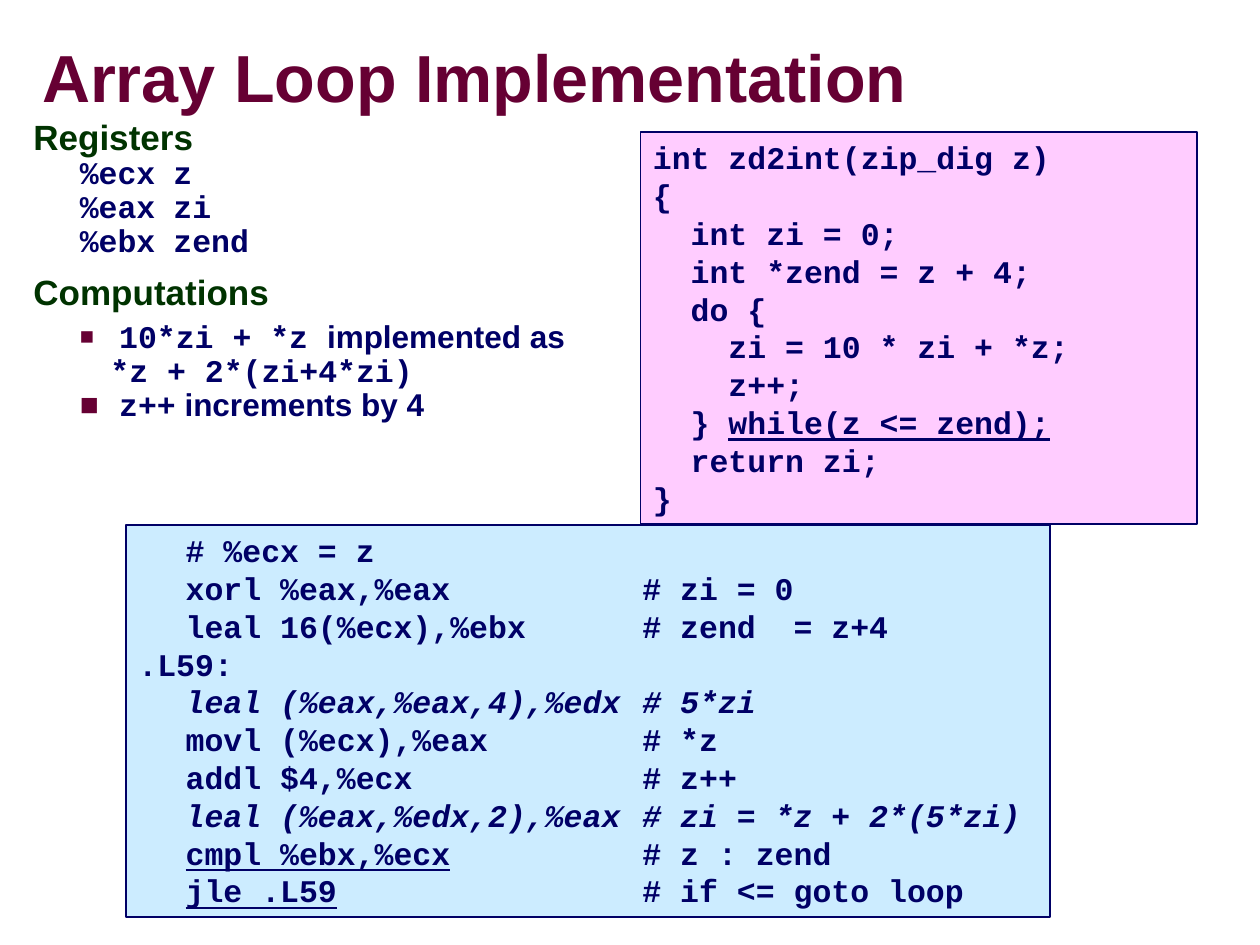
"""Build the Array Loop Implementation slide."""
from lxml import etree
from pptx import Presentation
from pptx import util as u
from pptx.dml.color import RGBColor
from pptx.enum import shapes, text
from pptx.oxml.ns import qn

THEME = {
    "sans": "Arial", "mono": "Courier New",
    "maroon": "660033", "green": "003300", "navy": "000066", "grey": "969696",
    "pink": "FFCCFF", "blue": "CCECFF",
    "title": 38, "heading": 20, "body": 18,
}
TITLE = "Array Loop Implementation"
REGISTERS = [("%ecx", "z"), ("%eax", "zi"), ("%ebx", "zend")]
COMPUTATIONS = [
    (75, 5, [(" ", "sans"), ("10*zi + *z ", "mono"), ("implemented as", "sans"),
             ("\v*z + 2*(zi+4*zi)", "mono")]),
    (100, 0, [(" ", "sans"), ("z++", "mono"), (" increments by 4", "sans")]),
]
C_CODE = [
    [("int zd2int(zip_dig z)", "")],
    [("{", "")],
    [("  int zi = 0;", "")],
    [("  int *zend = z + 4;", "")],
    [("  do {", "")],
    [("    zi = 10 * zi + *z;", "")],
    [("    z++;", "")],
    [("  } ", ""), ("while(z <= zend);", "u")],
    [("  return zi;", "")],
    [("}", "")],
]
ASSEMBLY = [
    [("\t# %ecx = z", "")],
    [("\txorl %eax,%eax\t# zi = 0", "")],
    [("\tleal 16(%ecx),%ebx\t# zend  = z+4", "")],
    [(".L59:", "")],
    [("\tleal (%eax,%eax,4),%edx\t# 5*zi", "i")],
    [("\tmovl (%ecx),%eax\t# *z", "")],
    [("\taddl $4,%ecx\t# z++", "")],
    [("\tleal (%eax,%edx,2),%eax\t# zi = *z + 2*(5*zi)", "i")],
    [("\t", ""), ("cmpl %ebx,%ecx", "u"), ("\t# z : zend", "")],
    [("\t", ""), ("jle .L59", "u"), ("\t# if <= goto loop", "")],
]
PANELS = [
    ((72, 300, 528, 224), "blue", ASSEMBLY, (27, 288)),
    ((366, 75.6, 318, 224), "pink", C_CODE, ()),
]
HEADING_LEVEL, ITEM_LEVEL = (17.5, -17.5), (44, -17.5)


def color(name):
    return RGBColor.from_string(THEME[name])


def add_span(para, words, font="mono", size="body", ink="navy", style=""):
    for index, piece in enumerate(words.split("\v")):
        if index:
            para.add_line_break()
        if not piece:
            continue
        span = para.add_run()
        span.text = piece
        span.font.name = THEME[font]
        span.font.size = u.Pt(THEME[size])
        span.font.bold = True
        span.font.italic = "i" in style
        span.font.underline = "u" in style
        span.font.color.rgb = color(ink)


def next_para(frame):
    first = frame.paragraphs[0]
    return frame.add_paragraph() if first.runs else first


def set_tabs(para, stops):
    if stops:
        tabs = etree.SubElement(para._p.get_or_add_pPr(), qn("a:tabLst"))
        for stop in stops:
            etree.SubElement(tabs, qn("a:tab"), pos=str(u.Pt(stop)), algn="l")


def set_bullet(para, percent):
    props = para._p.get_or_add_pPr()
    paint = etree.SubElement(props, qn("a:buClr"))
    etree.SubElement(paint, qn("a:srgbClr"), val=THEME["maroon"])
    etree.SubElement(props, qn("a:buSzPct"), val=str(percent * 1000))
    etree.SubElement(props, qn("a:buFont"), typeface=THEME["sans"])
    etree.SubElement(props, qn("a:buChar"), char="■")


def add_outline_para(frame, level, spacing, before=0, bullet=None):
    para = next_para(frame)
    props = para._p.get_or_add_pPr()
    margin, indent = level
    props.set("marL", str(u.Pt(margin)))
    props.set("indent", str(u.Pt(indent)))
    if bullet:
        set_bullet(para, bullet)
    else:
        etree.SubElement(props, qn("a:buNone"))
    set_tabs(para, (90,))
    para.line_spacing = spacing
    para.space_before = u.Pt(before)
    return para


def add_title(page):
    box = page.shapes.title
    box.left, box.top, box.width, box.height = map(u.Pt, (24, 24, 660, 45))
    frame = box.text_frame
    frame.margin_left = frame.margin_right = frame.margin_top = frame.margin_bottom = 0
    frame.vertical_anchor = text.MSO_ANCHOR.MIDDLE
    frame.auto_size = text.MSO_AUTO_SIZE.NONE
    para = frame.paragraphs[0]
    para.alignment = text.PP_ALIGN.LEFT
    para.line_spacing = 0.87
    add_span(para, TITLE, "sans", "title", "maroon")
    effects = etree.Element(qn("a:effectLst"))
    shadow = etree.SubElement(effects, qn("a:outerShdw"), dist=str(u.Pt(3)), dir="2700000")
    etree.SubElement(shadow, qn("a:srgbClr"), val=THEME["grey"])
    para.runs[0].font._element.find(qn("a:solidFill")).addnext(effects)


def add_outline(page):
    box = page.shapes.add_textbox(*map(u.Pt, (12, 66, 348, 171.5)))
    frame = box.text_frame
    frame.word_wrap = True
    para = add_outline_para(frame, HEADING_LEVEL, 0.85)
    add_span(para, "Registers", "sans", "heading", "green")
    for register, variable in REGISTERS:
        add_span(add_outline_para(frame, ITEM_LEVEL, 0.9), f"{register}\t{variable}")
    para = add_outline_para(frame, HEADING_LEVEL, 0.85, before=10)
    add_span(para, "Computations", "sans", "heading", "green")
    for bullet, before, spans in COMPUTATIONS:
        para = add_outline_para(frame, ITEM_LEVEL, 0.9, before, bullet)
        for words, font in spans:
            add_span(para, words, font)


def add_panel(page, place, fill, lines, stops):
    box = page.shapes.add_shape(shapes.MSO_SHAPE.RECTANGLE, *map(u.Pt, place))
    box.shadow.inherit = False
    box.fill.solid()
    box.fill.fore_color.rgb = color(fill)
    box.line.color.rgb = color("navy")
    box.line.width = u.Pt(1)
    frame = box.text_frame
    frame.word_wrap = False
    frame.auto_size = text.MSO_AUTO_SIZE.SHAPE_TO_FIT_TEXT
    frame.vertical_anchor = text.MSO_ANCHOR.TOP
    for line in lines:
        para = next_para(frame)
        set_tabs(para, stops)
        para.alignment = text.PP_ALIGN.LEFT
        for words, style in line:
            add_span(para, words, style=style)


def main():
    deck = Presentation()
    deck.slide_width, deck.slide_height = u.Pt(720), u.Pt(540)
    page = deck.slides.add_slide(deck.slide_layouts[5])
    add_title(page)
    add_outline(page)
    for panel in PANELS:
        add_panel(page, *panel)
    deck.save("out.pptx")


if __name__ == "__main__":
    main()
